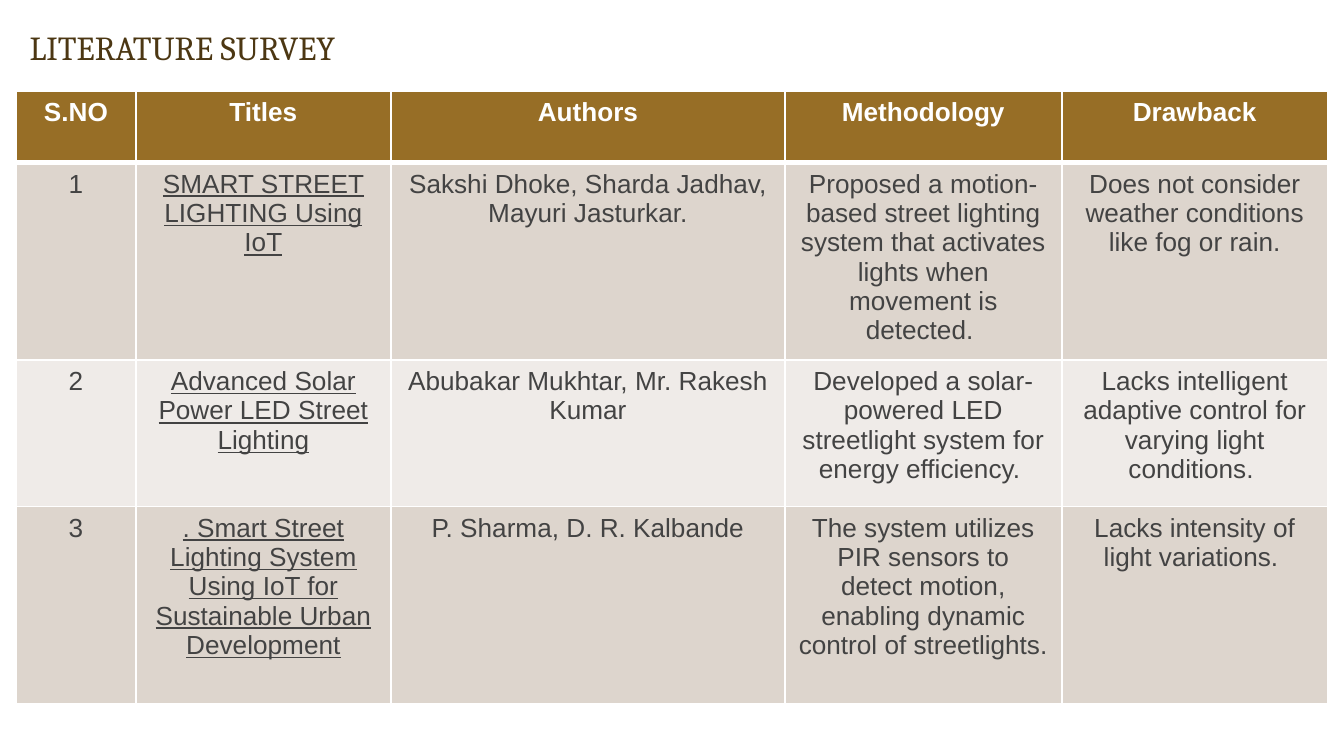
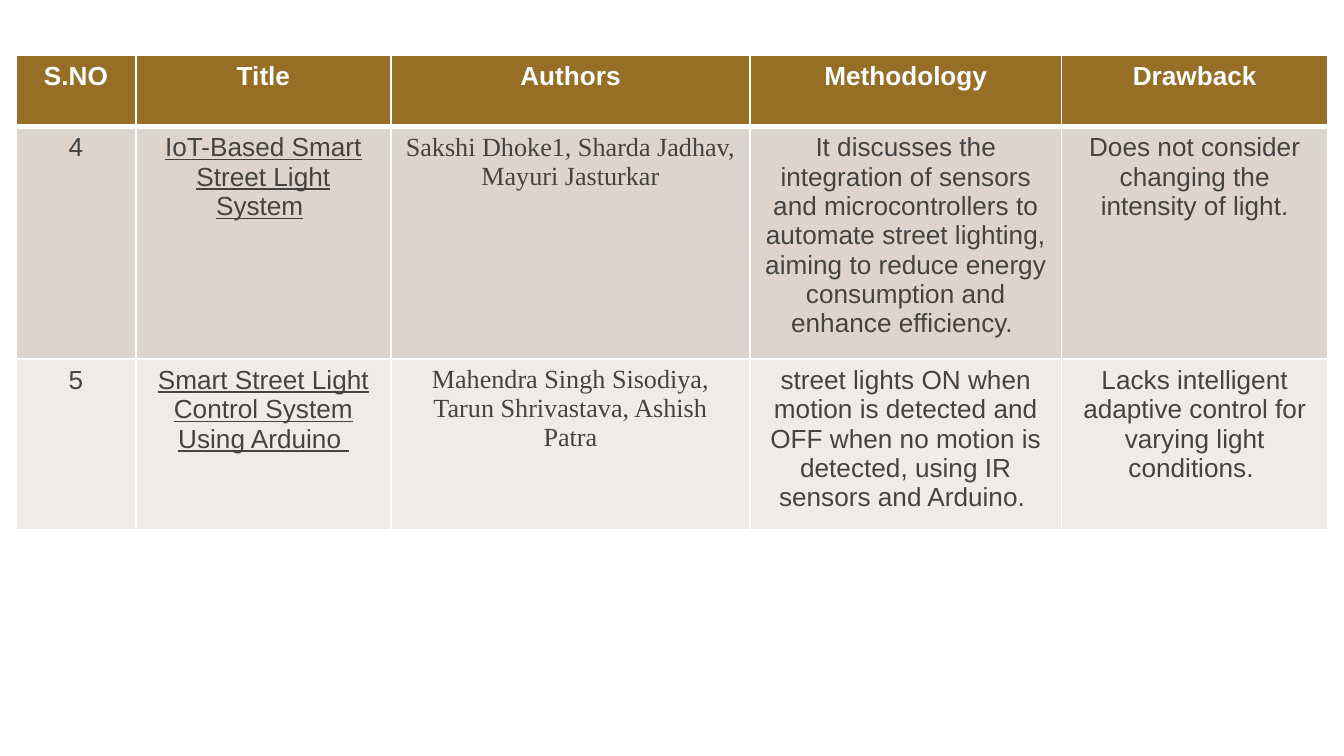
from lxml import etree
from pptx import Presentation
from pptx.dml.color import RGBColor
from pptx.enum.text import MSO_ANCHOR, MSO_AUTO_SIZE, PP_ALIGN
from pptx.oxml.ns import qn
from pptx.util import Inches, Pt

CENTER = PP_ALIGN.CENTER
LEFT = PP_ALIGN.LEFT
MIDDLE = MSO_ANCHOR.MIDDLE
NO_AUTOFIT = MSO_AUTO_SIZE.NONE

COLORS = {
    "title": "4C3713",
    "header": "976E26",
    "header_text": "FFFFFF",
    "body_text": "434343",
    "band_dark": "DDD5CD",
    "band_light": "EFEBE8",
    "border": "FFFFFF",
}
TITLE_LAYOUT = 5
BLANK_LAYOUT = 6
TABLE_LEFT = 0.12
TITLE_COLUMN = 1
AUTHORS_COLUMN = 2


def write_text(paragraph, text, font="Arial", size=14, color="body_text",
               bold=False, underline=False, align=CENTER):
    paragraph.alignment = align
    run = paragraph.add_run()
    run.text = text
    run.font.name = font
    run.font.size = Pt(size)
    run.font.bold = bold
    run.font.underline = underline
    run.font.color.rgb = RGBColor.from_string(COLORS[color])


def add_survey_table(slide, top, widths, heights, rows, authors_font):
    frame = slide.shapes.add_table(
        len(rows), len(widths), Inches(TABLE_LEFT), Inches(top),
        Inches(sum(widths)), Inches(sum(heights)))
    table = frame.table
    table.first_row = False
    table.horz_banding = False
    for column, width in zip(table.columns, widths):
        column.width = Inches(width)
    for row, height in zip(table.rows, heights):
        row.height = Inches(height)

    for row_index, texts in enumerate(rows):
        is_header = row_index == 0
        band = "band_dark" if row_index % 2 else "band_light"
        for column_index, text in enumerate(texts):
            cell = table.cell(row_index, column_index)
            properties = cell._tc.get_or_add_tcPr()
            border_widths = {
                "a:lnL": 1,
                "a:lnR": 1,
                "a:lnT": 3 if row_index == 1 else 1,
                "a:lnB": 3 if is_header else 1,
            }
            for tag, width in border_widths.items():
                line = etree.SubElement(properties, qn(tag), w=str(Pt(width)))
                fill = etree.SubElement(line, qn("a:solidFill"))
                etree.SubElement(fill, qn("a:srgbClr"), val=COLORS["border"])
            cell.fill.solid()
            cell.fill.fore_color.rgb = RGBColor.from_string(
                COLORS["header" if is_header else band])
            is_author = column_index == AUTHORS_COLUMN and not is_header
            write_text(
                cell.text_frame.paragraphs[0], text,
                font=authors_font if is_author else "Arial",
                color="header_text" if is_header else "body_text",
                bold=is_header,
                underline=column_index == TITLE_COLUMN and not is_header)
    return table


presentation = Presentation()
presentation.slide_width = Inches(10)
presentation.slide_height = Inches(10 * 9 / 16)

slide = presentation.slides.add_slide(presentation.slide_layouts[TITLE_LAYOUT])
title = slide.shapes.title
title.left, title.top = Inches(TABLE_LEFT), Inches(0.15)
title.width, title.height = Inches(6.27), Inches(0.4)
title.text_frame.auto_size = NO_AUTOFIT
title.text_frame.vertical_anchor = MIDDLE
write_text(title.text_frame.paragraphs[0], "LITERATURE SURVEY",
           font="Cambria", size=18, color="title", align=LEFT)

add_survey_table(
    slide, 0.68, [0.89, 1.9, 2.93, 2.06, 1.98], [0.53, 1.47, 1.09, 1.47],
    [
        ["S.NO", "Titles", "Authors", "Methodology", "Drawback"],
        ["1", "SMART STREET LIGHTING Using IoT",
         "Sakshi Dhoke, Sharda Jadhav, Mayuri Jasturkar.",
         "Proposed a motion-based street lighting system that activates "
         "lights when movement is detected. ",
         "Does not consider weather conditions like fog or rain."],
        ["2", "Advanced Solar Power LED Street Lighting",
         "Abubakar Mukhtar, Mr. Rakesh Kumar",
         "Developed a solar-powered LED streetlight system for energy "
         "efficiency. ",
         "Lacks intelligent adaptive control for varying light conditions. "],
        ["3", ". Smart Street Lighting System Using IoT for Sustainable "
         "Urban Development",
         "P. Sharma, D. R. Kalbande",
         "The system utilizes PIR sensors to detect motion, enabling dynamic "
         "control of streetlights. ",
         "Lacks intensity of light variations. "],
    ], "Arial")

slide = presentation.slides.add_slide(presentation.slide_layouts[BLANK_LAYOUT])
table = add_survey_table(
    slide, 0.41, [0.89, 1.9, 2.67, 2.32, 1.98], [0.53, 1.73, 1.27],
    [
        ["S.NO", "Title", "Authors", "Methodology", "Drawback"],
        ["4", "IoT-Based Smart Street Light System",
         "Sakshi Dhoke1, Sharda Jadhav, Mayuri Jasturkar",
         "It discusses the integration of sensors and microcontrollers to "
         "automate street lighting, aiming to reduce energy consumption and "
         "enhance efficiency. ",
         "Does not consider changing the intensity of light."],
        ["5", "Smart Street Light Control System Using Arduino ",
         "Mahendra Singh Sisodiya, Tarun Shrivastava, Ashish Patra",
         "street lights ON when motion is detected and OFF when no motion is "
         "detected, using IR sensors and Arduino. ",
         "Lacks intelligent adaptive control for varying light conditions. "],
    ], "Times New Roman")
write_text(table.cell(1, TITLE_COLUMN).text_frame.paragraphs[0], " ")

presentation.save("out.pptx")
